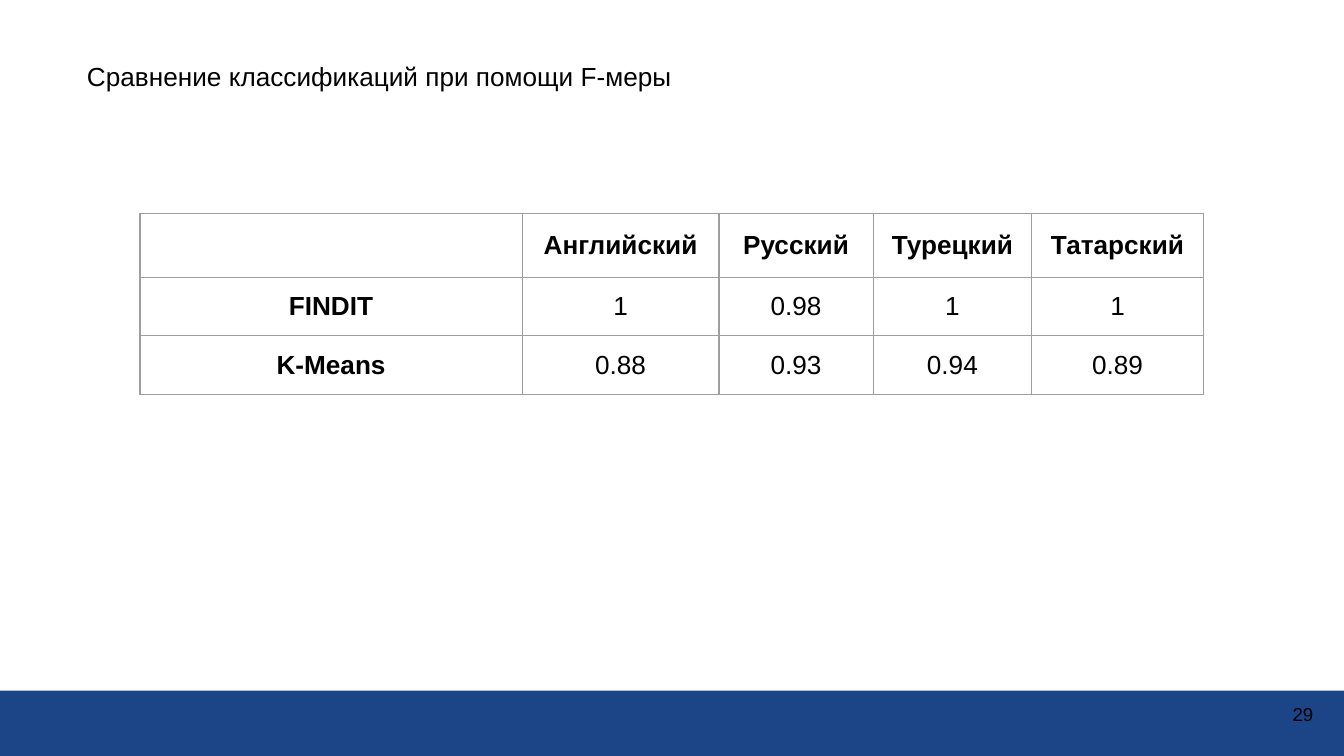
import pptx
import pptx.util
import pptx.dml.color
import pptx.enum.shapes
import pptx.enum.text
import pptx.oxml
import pptx.oxml.ns
from lxml import etree

Pt = pptx.util.Pt
ALIGN = pptx.enum.text.PP_ALIGN
ANCHOR = pptx.enum.text.MSO_ANCHOR
INSET = Pt(7.2)

HEAD = ["", "Английский", "Русский", "Турецкий", "Татарский"]
SCORES = [
    ["FINDIT", "1", "0.98", "1", "1"],
    ["K-Means", "0.88", "0.93", "0.94", "0.89"],
]
WIDTHS = [204.8, 105.4, 82.6, 85, 92]
HEIGHTS = [34.5, 30.2, 30.2]


def color(code):
    return pptx.dml.color.RGBColor.from_string(code)


def write(frame, text, size, align, bold=False):
    frame.text = text
    par = frame.paragraphs[0]
    par.alignment = align
    font = par.font
    font.name, font.size, font.bold = "Arial", Pt(size), bold
    font.color.rgb = color("000000")


def inset(holder):
    """Give a cell or text frame equal margins on all sides."""
    holder.margin_left = holder.margin_right = INSET
    holder.margin_top = holder.margin_bottom = INSET


def border(cell, code, width):
    props = cell._tc.get_or_add_tcPr()
    for index, side in enumerate(("lnL", "lnR", "lnT", "lnB")):
        line = pptx.oxml.parse_xml(
            f'<a:{side} {pptx.oxml.ns.nsdecls("a")} w="{Pt(width)}">'
            f'<a:solidFill><a:srgbClr val="{code}"/></a:solidFill></a:{side}>')
        props.insert(index, line)


def title(slide, box, text):
    shape = slide.shapes.title
    shape.left, shape.top, shape.width, shape.height = map(Pt, box)
    frame = shape.text_frame
    frame.word_wrap = True
    frame.auto_size = pptx.enum.text.MSO_AUTO_SIZE.NONE
    frame.vertical_anchor = ANCHOR.TOP
    inset(frame)
    write(frame, text, 14, ALIGN.LEFT)


def table(slide, left, top, rows):
    frame = slide.shapes.add_table(
        len(rows), len(WIDTHS), Pt(left), Pt(top),
        Pt(sum(WIDTHS)), Pt(sum(HEIGHTS)))
    grid = frame.table
    for col, width in zip(grid.columns, WIDTHS):
        col.width = Pt(width)
    for row, height in zip(grid.rows, HEIGHTS):
        row.height = Pt(height)
    for r, row in enumerate(rows):
        for c, text in enumerate(row):
            cell = grid.cell(r, c)
            cell.fill.background()
            cell.vertical_anchor = ANCHOR.MIDDLE
            inset(cell)
            write(cell.text_frame, text, 14, ALIGN.CENTER, r == 0 or c == 0)
            border(cell, "9E9E9E", 0.75)


def footer(slide, box, number):
    left, top, width, height = box
    bar = slide.shapes.add_shape(
        pptx.enum.shapes.MSO_SHAPE.RECTANGLE, *map(Pt, box))
    bar.shadow.inherit = False
    bar.fill.solid()
    bar.fill.fore_color.rgb = color("1C4587")
    bar.line.fill.background()
    page = slide.shapes.add_textbox(
        Pt(left + width - 52.6), Pt(top - 2.8), Pt(43.2), Pt(31))
    frame = page.text_frame
    frame.word_wrap = True
    frame.vertical_anchor = ANCHOR.MIDDLE
    inset(frame)
    write(frame, number, 10, ALIGN.RIGHT)


def main():
    deck = pptx.Presentation()
    deck.slide_width, deck.slide_height = Pt(720), Pt(405)
    slide = deck.slides.add_slide(deck.slide_layouts.get_by_name("Title Only"))
    footer(slide, (0, 370, 720, 35), "29")
    table(slide, 75, 114.2, [HEAD] + SCORES)
    title(slide, (39.4, 25.2, 609, 31.7),
          "Сравнение классификаций при помощи F-меры")
    deck.save("out.pptx")


if __name__ == "__main__":
    main()
